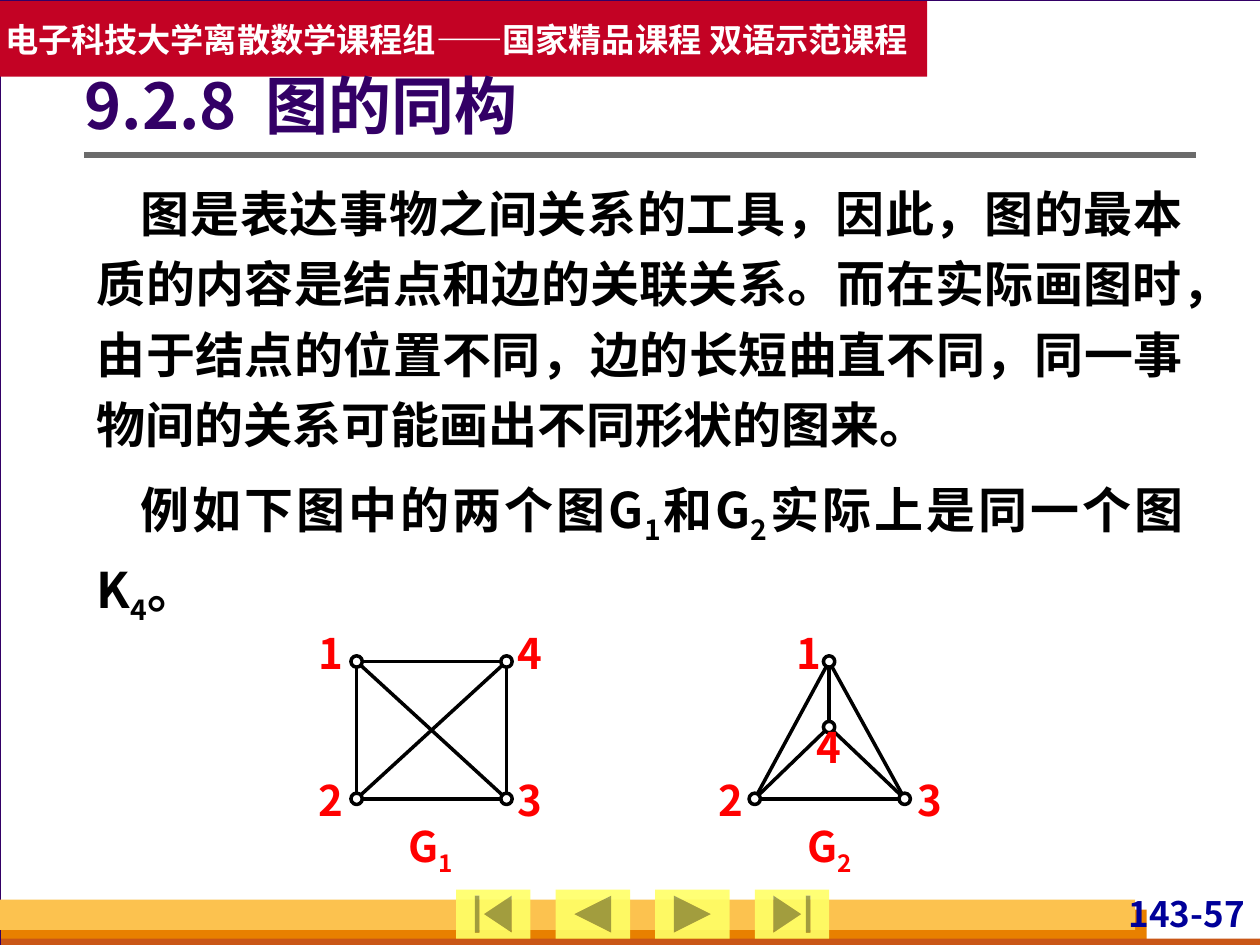
from math import hypot
from itertools import combinations
from pptx import Presentation
from pptx.util import Inches, Pt
from pptx.dml.color import RGBColor
from pptx.enum.shapes import MSO_SHAPE, MSO_CONNECTOR
from pptx.enum.text import PP_ALIGN, MSO_ANCHOR
from pptx.oxml.ns import qn
from lxml.etree import SubElement

FONT = "Noto Sans CJK SC"
WHITE = RGBColor(0xFF, 0xFF, 0xFF)
BLACK = RGBColor(0, 0, 0)
RED = RGBColor(0xFF, 0, 0)
PURPLE = RGBColor(0x33, 0, 0x66)
NAVY = RGBColor(0, 0, 0x99)
CRIMSON = RGBColor(0xC3, 0x02, 0x24)
AMBER = RGBColor(0xFC, 0xC2, 0x4F)
ORANGE = RGBColor(0xE8, 0x80, 0)
RUST = RGBColor(0xC9, 0x56, 0x16)
YELLOW = RGBColor(0xFF, 0xFF, 0x66)
GREY = RGBColor(0x6B, 0x6B, 0x6B)
PALE = RGBColor(0xD8, 0xDA, 0xDA)

# Content: a paragraph is a list of runs, and a run in a tuple is a subscript
HEAD = "电子科技大学离散数学课程组——国家精品课程 双语示范课程"
TITLE = ["9.2.8", " ", "图的同构"]
BODY = [
    ["图是表达事物之间关系的工具，因此，图的最本质的内容是结点和边的关联关系。"
     "而在实际画图时，由于结点的位置不同，边的长短曲直不同，"
     "同一事物间的关系可能画出不同形状的图来。"],
    ["例如下图中的两个图G", ("1",), "和G", ("2",),
     "实际上是同一个图K", ("4",), "。"],
]
PAGE = "143-57"
BANDS = [((0.01, 7.22, 9.09, 0.28), ORANGE),
         ((0.01, 7.45, 10, 0.08), RUST),
         ((0, 7.14, 9.01, 0.24), AMBER)]
BUTTONS = [MSO_SHAPE.ACTION_BUTTON_BEGINNING,
           MSO_SHAPE.ACTION_BUTTON_BACK_OR_PREVIOUS,
           MSO_SHAPE.ACTION_BUTTON_FORWARD_OR_NEXT,
           MSO_SHAPE.ACTION_BUTTON_END]

# Each graph: caption number, caption left, then node -> centre and label corner
GRAPHS = [
    ("1", 3.12, {"1": ((2.83, 5.25), (2.48, 4.98)),
                 "2": ((2.83, 6.34), (2.48, 6.15)),
                 "3": ((4.02, 6.34), (4.06, 6.15)),
                 "4": ((4.02, 5.25), (4.06, 4.98))}),
    ("2", 6.29, {"1": ((6.58, 5.25), (6.27, 4.98)),
                 "2": ((5.99, 6.34), (5.65, 6.15)),
                 "3": ((7.18, 6.34), (7.23, 6.15)),
                 "4": ((6.58, 5.77), (6.43, 5.73))}),
]
NODE = 0.09

prs = Presentation()
prs.slide_width, prs.slide_height = Inches(10), Inches(7.5)
slide = prs.slides.add_slide(prs.slide_layouts[6])
slide.background.fill.solid()
slide.background.fill.fore_color.rgb = PALE


def add_box(kind, box, fill, line=None, width=0.75):
    shape = slide.shapes.add_shape(kind, *map(Inches, box))
    shape.shadow.inherit = False
    shape.fill.solid()
    shape.fill.fore_color.rgb = fill
    if line is None:
        shape.line.fill.background()
    else:
        shape.line.color.rgb = line
        shape.line.width = Pt(width)
    return shape


def add_line(start, end, color, width):
    line = slide.shapes.add_connector(
        MSO_CONNECTOR.STRAIGHT, *map(Inches, (*start, *end)))
    line.line.color.rgb = color
    line.line.width = Pt(width)
    SubElement(line._element.spPr, qn("a:effectLst"))


def write(shape, paras, size, color, align=PP_ALIGN.LEFT, pad=(0, 0, 0, 0),
          anchor=MSO_ANCHOR.TOP, wrap=True):
    frame = shape.text_frame
    frame.word_wrap = wrap
    frame.vertical_anchor = anchor
    (frame.margin_left, frame.margin_top,
     frame.margin_right, frame.margin_bottom) = map(Inches, pad)
    for i, runs in enumerate(paras):
        para = frame.add_paragraph() if i else frame.paragraphs[0]
        para.alignment = align
        for part in runs:
            run = para.add_run()
            run.text = part[0] if isinstance(part, tuple) else part
            font = run.font
            font.name, font.size, font.bold = FONT, Pt(size), True
            font.color.rgb = color
            props = run._r.get_or_add_rPr()
            SubElement(props, qn("a:ea")).set("typeface", FONT)
            if isinstance(part, tuple):
                props.set("baseline", "-25000")
    return frame.paragraphs


def add_text(box, *args, **more):
    return write(slide.shapes.add_textbox(*map(Inches, box)), *args, **more)


# Page frame, bottom bands, page number and title rule
add_box(MSO_SHAPE.RECTANGLE, (0, 0, 10.01, 7.5), WHITE, PURPLE)
for box, color in BANDS:
    add_box(MSO_SHAPE.RECTANGLE, box, color)
add_text((8.7, 7.08, 1.22, 0.38), [[PAGE]], 20, NAVY, PP_ALIGN.RIGHT,
         pad=(0.04, 0, 0.04, 0))
add_line((0.67, 1.23), (9.49, 1.23), GREY, 3)

# Navigation buttons
for i, kind in enumerate(BUTTONS):
    button = add_box(kind, (3.62 + 0.79 * i, 7.06, 0.59, 0.39), YELLOW)
    tint = button._element.spPr.find(".//" + qn("a:srgbClr"))
    SubElement(tint, qn("a:alpha")).set("val", "90000")

# Header bar
bar = add_box(MSO_SHAPE.RECTANGLE, (0, 0.01, 7.36, 0.6), CRIMSON)
write(bar, [[HEAD]], 19, WHITE, pad=(0.04, 0.05, 0.04, 0.05),
      anchor=MSO_ANCHOR.MIDDLE, wrap=False)

# Title, with a widened gap after the section number
title = add_text((0.67, 0.36, 8.82, 1.01), [TITLE], 36, PURPLE,
                 pad=(0, 0.05, 0.1, 0.05), anchor=MSO_ANCHOR.MIDDLE)[0]
title.line_spacing = 0.9
title.runs[1]._r.get_or_add_rPr().set("spc", "800")

# Body text
body = add_text((0.67, 1.31, 8.82, 3.71), BODY, 28, BLACK, PP_ALIGN.JUSTIFY,
                pad=(0.1, 0.05, 0.1, 0.05))
for para in body:
    para.line_spacing = 1.2
    para._p.get_or_add_pPr().set("indent", str(Inches(0.35)))
body[1].space_before = Pt(7)

# Graphs: every pair of nodes is joined, with edges ending at the node rims
for number, left, nodes in GRAPHS:
    spots = [spot for spot, label in nodes.values()]
    for (x1, y1), (x2, y2) in combinations(spots, 2):
        size = hypot(x2 - x1, y2 - y1)
        dx, dy = (x2 - x1) / size * NODE / 2, (y2 - y1) / size * NODE / 2
        add_line((x1 + dx, y1 + dy), (x2 - dx, y2 - dy), BLACK, 2)
    for name, ((x, y), label) in nodes.items():
        add_box(MSO_SHAPE.OVAL, (x - NODE / 2, y - NODE / 2, NODE, NODE),
                WHITE, BLACK, 2)
        add_text((*label, 0.3, 0.47), [[name]], 24, RED, PP_ALIGN.CENTER)
    add_text((left, 6.51, 0.59, 0.47), [["G", (number,)]], 24, RED,
             PP_ALIGN.CENTER)

prs.save("out.pptx")
